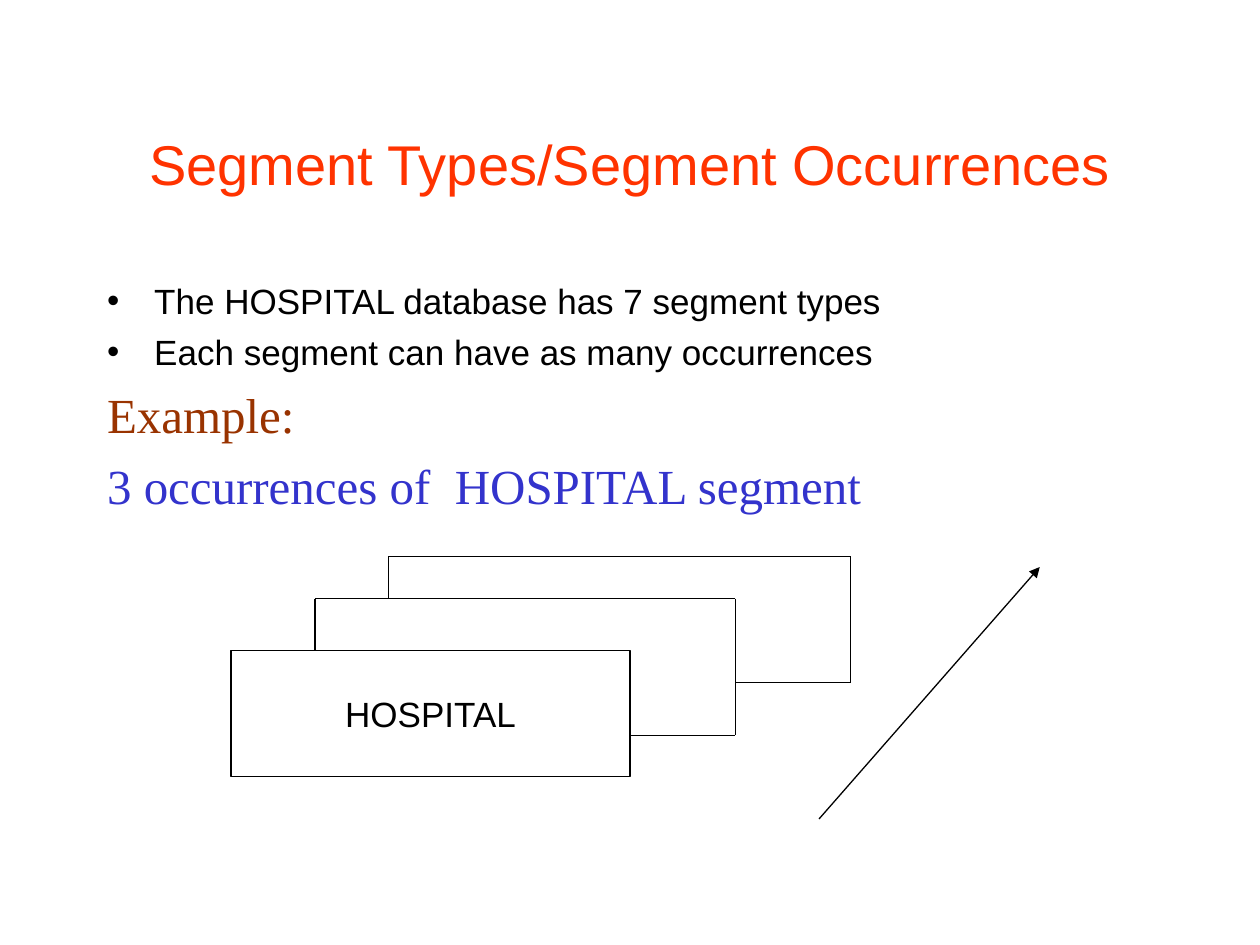
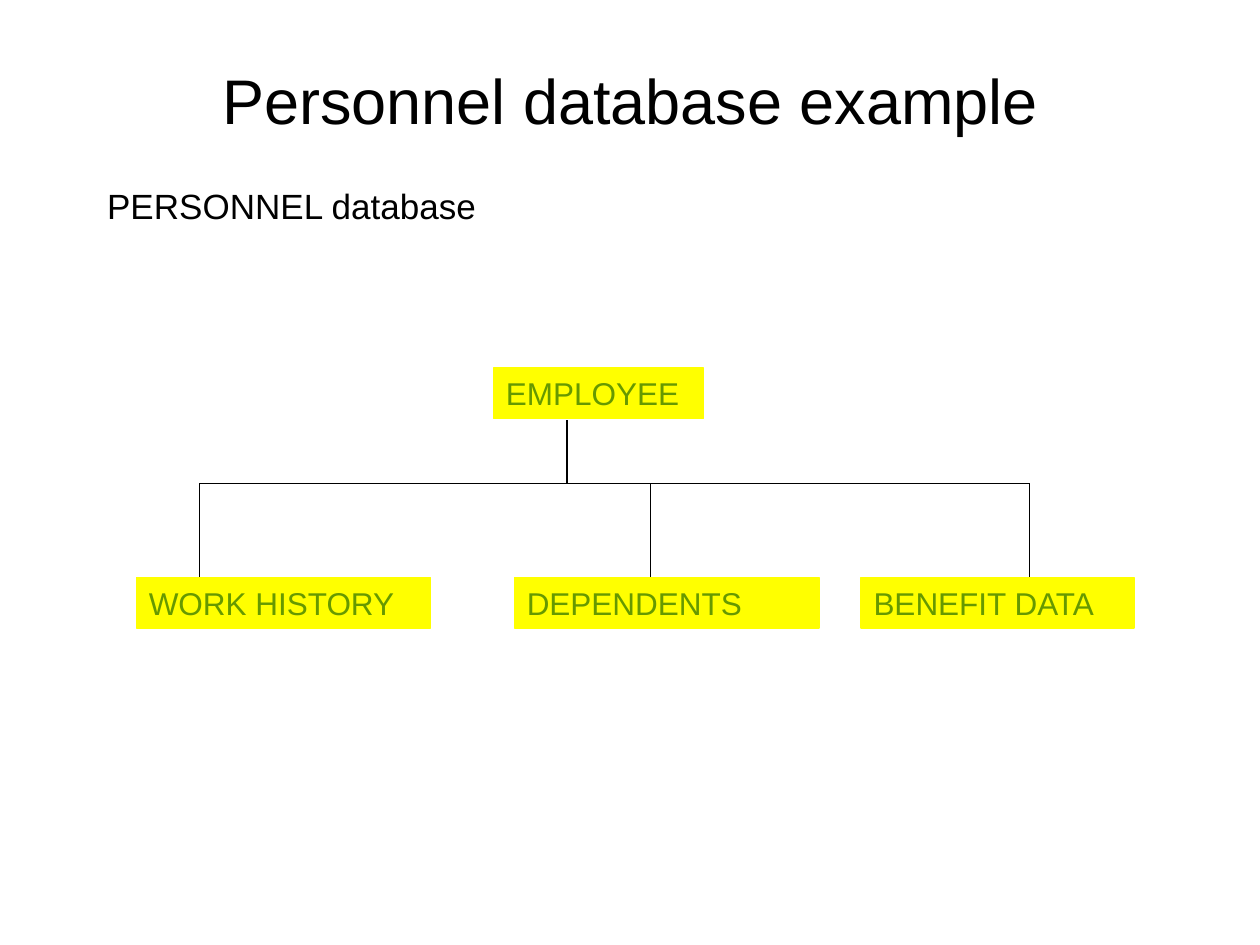
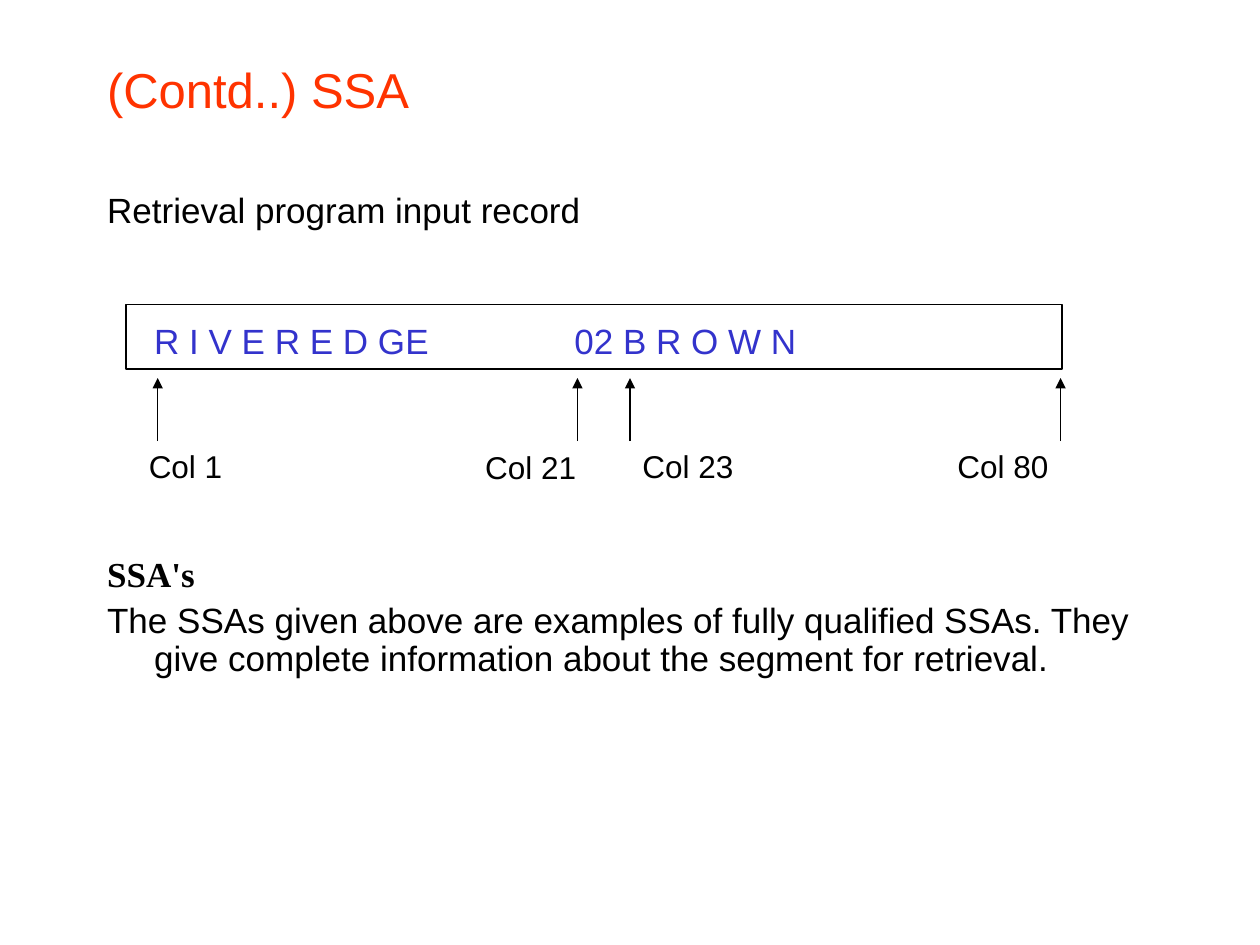
from dataclasses import dataclass
from itertools import pairwise
from typing import NamedTuple

from lxml import etree
from pptx import Presentation
from pptx.dml.color import RGBColor
from pptx.enum.shapes import MSO_CONNECTOR, MSO_SHAPE
from pptx.enum.text import MSO_ANCHOR, PP_ALIGN
from pptx.oxml.ns import qn
from pptx.util import Cm, Pt

RECT = MSO_SHAPE.RECTANGLE
STRAIGHT = MSO_CONNECTOR.STRAIGHT
TOP, MIDDLE = MSO_ANCHOR.TOP, MSO_ANCHOR.MIDDLE
LEFT, CENTER = PP_ALIGN.LEFT, PP_ALIGN.CENTER


@dataclass(frozen=True)
class Theme:
    black: str = "000000"
    white: str = "FFFFFF"
    red: str = "FF3300"
    brown: str = "993300"
    blue: str = "3333CC"
    yellow: str = "FFFF00"
    green: str = "669900"
    sans: str = "Arial"
    serif: str = "Times New Roman"
    label: int = 18
    body: int = 20
    large: int = 28
    title: int = 32
    huge: int = 36
    rule: float = 0.75
    margin: float = 1.91
    width: float = 21.59
    hang: float = 0.95


THEME = Theme()


class Box(NamedTuple):
    left: float
    top: float
    width: float
    height: float


class Node(NamedTuple):
    text: str
    box: Box


class Mark(NamedTuple):
    text: str
    box: Box
    tip: float


def rgb(code: str) -> RGBColor:
    return RGBColor.from_string(code)


def write(frame, text: str, *, size: int = THEME.body, color: str = THEME.black,
          font: str = THEME.sans, bold: bool = False, align=LEFT, hang: float = 0,
          bullet: str = "", tab: float = 0, before: float = 0, pitch: float = 1) -> None:
    first = not frame.text
    para = frame.paragraphs[0] if first else frame.add_paragraph()
    props = para._p.get_or_add_pPr()
    if hang:
        props.set("marL", str(Cm(hang)))
        props.set("indent", str(-Cm(hang)))
    if bullet:
        etree.SubElement(props, qn("a:buFont")).set("typeface", font)
        etree.SubElement(props, qn("a:buChar")).set("char", bullet)
    if tab:
        stops = etree.SubElement(props, qn("a:tabLst"))
        stop = etree.SubElement(stops, qn("a:tab"))
        stop.set("pos", str(Cm(tab)))
        stop.set("algn", "l")
    para.alignment = align
    para.line_spacing = pitch
    if before and not first:
        para.space_before = Pt(before)
    run = para.add_run()
    run.text = text
    run.font.size = Pt(size)
    run.font.name = font
    run.font.bold = bold
    run.font.color.rgb = rgb(color)


def frame(slide, box: Box, anchor=TOP):
    area = slide.shapes.add_textbox(*map(Cm, box)).text_frame
    area.word_wrap = True
    area.vertical_anchor = anchor
    return area


def title(slide, text: str, top: float, height: float = 1.48, **style) -> None:
    area = frame(slide, Box(THEME.margin, top, THEME.width, height), MIDDLE)
    write(area, text, **style)


def body(slide, top: float, height: float):
    return frame(slide, Box(THEME.margin, top, THEME.width, height))


def block(slide, box: Box, fill: str = THEME.white, edge: str = THEME.black,
          anchor=MIDDLE):
    shape = slide.shapes.add_shape(RECT, *map(Cm, box))
    shape.shadow.inherit = False
    shape.fill.solid()
    shape.fill.fore_color.rgb = rgb(fill)
    shape.line.color.rgb = rgb(edge)
    shape.line.width = Pt(THEME.rule)
    shape.text_frame.vertical_anchor = anchor
    return shape.text_frame


def line(slide, x1: float, y1: float, x2: float, y2: float, arrow: bool = False) -> None:
    link = slide.shapes.add_connector(STRAIGHT, Cm(x1), Cm(y1), Cm(x2), Cm(y2))
    link.line.color.rgb = rgb(THEME.black)
    link.line.width = Pt(THEME.rule)
    props = link.element.spPr
    if arrow:
        etree.SubElement(props.find(qn("a:ln")), qn("a:tailEnd")).set("type", "triangle")
    etree.SubElement(props, qn("a:effectLst"))


def behind(slide, front: Box, back: Box) -> None:
    right, base = back.left + back.width, back.top + back.height
    points = ((back.left, front.top), (back.left, back.top), (right, back.top),
              (right, base), (front.left + front.width, base))
    for start, end in pairwise(points):
        line(slide, *start, *end)


def segments(slide) -> None:
    title(slide, "Segment Types/Segment Occurrences", 1.7, 3.18,
          size=THEME.title, color=THEME.red, align=CENTER)
    area = body(slide, 5.51, 11.43)
    for text in ("The HOSPITAL database has 7 segment types",
                 "Each segment can have as many occurrences"):
        write(area, text, hang=THEME.hang, bullet="•", before=5)
    for text, color in (("Example:", THEME.brown),
                        ("3 occurrences of  HOSPITAL segment", THEME.blue)):
        write(area, text, size=THEME.large, font=THEME.serif, color=color, before=7)
    cards = (Box(4.66, 13.12, 8.04, 2.54), Box(6.35, 12.07, 8.47, 2.75),
             Box(7.83, 11.22, 9.32, 2.54))
    write(block(slide, cards[0]), "HOSPITAL", align=CENTER)
    for front, back in pairwise(cards):
        behind(slide, front, back)
    line(slide, 16.51, 16.51, 20.96, 11.43, arrow=True)


def staff(slide) -> None:
    title(slide, "Personnel database example", 1.27, size=THEME.huge, align=CENTER)
    write(body(slide, 3.6, 1.2), "PERSONNEL database")
    high, low, tall = 7.42, 11.64, 1.02
    nodes = (
        Node("EMPLOYEE", Box(9.95, high, 4.23, tall)),
        Node("WORK HISTORY", Box(2.75, low, 5.93, tall)),
        Node("DEPENDENTS", Box(10.37, low, 6.14, tall)),
        Node("BENEFIT DATA", Box(17.36, low, 5.5, tall)),
    )
    for node in nodes:
        area = block(slide, node.box, THEME.yellow, THEME.yellow, TOP)
        write(area, node.text, size=THEME.label, color=THEME.green)
    stem, bar, drops = 11.43, 9.74, (4.02, 13.12, 20.75)
    line(slide, drops[0], bar, drops[-1], bar)
    for drop in drops:
        line(slide, drop, bar, drop, low)
    line(slide, stem, high + tall + 0.03, stem, bar)


def record(slide) -> None:
    title(slide, "(Contd..) SSA", 1.06, size=THEME.large, color=THEME.red)
    write(body(slide, 3.78, 1.2), "Retrieval program input record", pitch=0.9)
    field = block(slide, Box(2.54, 6.14, 18.87, 1.3), anchor=TOP)
    field.margin_left, field.margin_top = Cm(0.57), Cm(0.3)
    write(field, "R I V E R E D GE\t02 B R O W N", color=THEME.blue, tab=8.47)
    base, head = 8.89, 7.62
    marks = (
        Mark("Col 1", Box(2.75, base, 2.12, 1.02), 3.18),
        Mark("Col 21", Box(9.53, base + 0.02, 2.54, 1.02), 11.64),
        Mark("Col 23", Box(12.7, base, 2.75, 1.02), 12.7),
        Mark("Col 80", Box(19.05, base, 3.18, 1.02), 21.38),
    )
    for mark in marks:
        write(frame(slide, mark.box), mark.text, size=THEME.label)
        line(slide, mark.tip, base, mark.tip, head, arrow=True)
    area = body(slide, 11.1, 3.2)
    write(area, "SSA's", font=THEME.serif, bold=True, pitch=0.9)
    write(area, "The SSAs given above are examples of fully qualified SSAs. "
          "They give complete information about the segment for retrieval.",
          hang=THEME.hang, before=5, pitch=0.9)


def main() -> None:
    deck = Presentation()
    deck.slide_width, deck.slide_height = Cm(25.4), Cm(19.05)
    for draw in (segments, staff, record):
        draw(deck.slides.add_slide(deck.slide_layouts[6]))
    deck.save("out.pptx")


if __name__ == "__main__":
    main()
